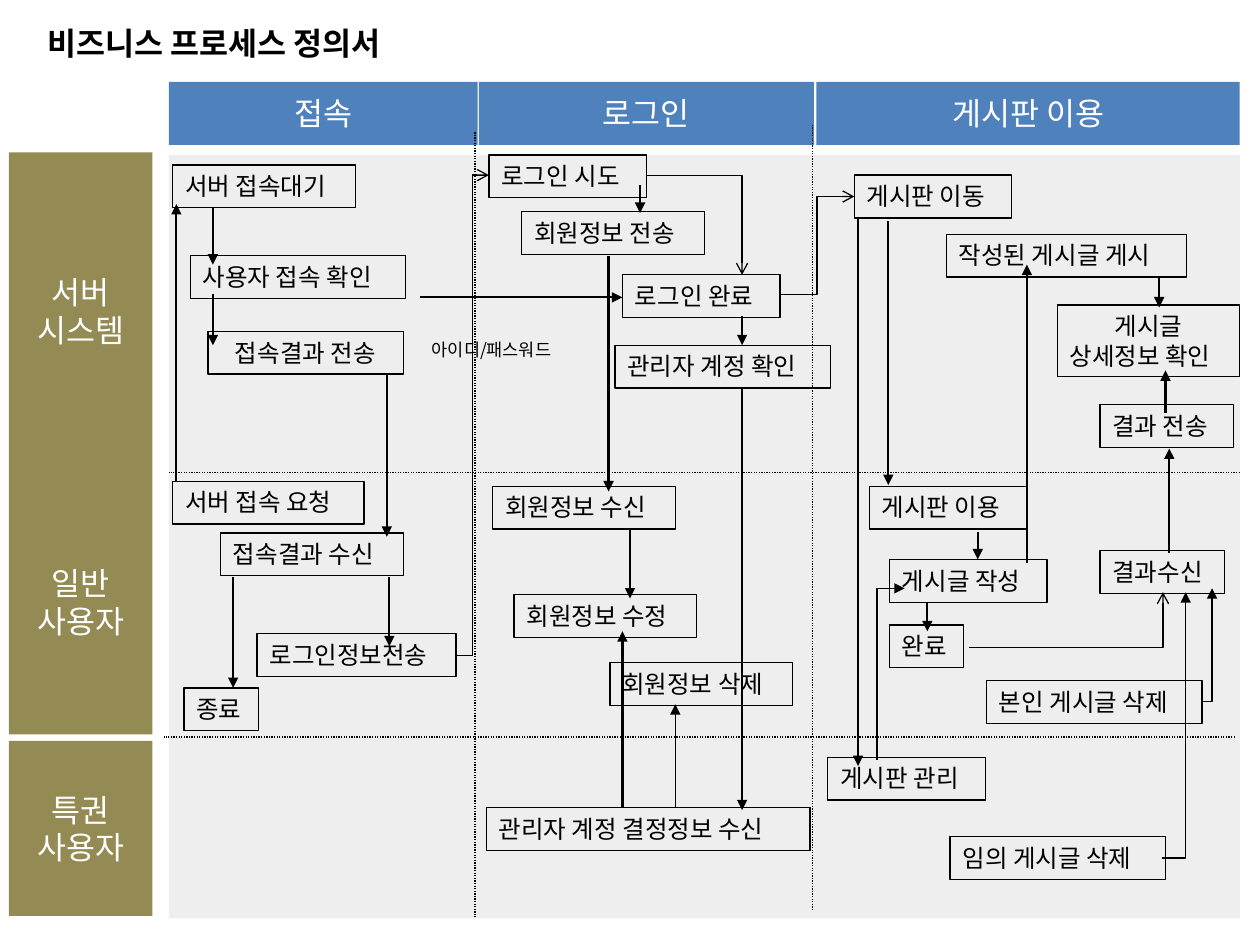
import pptx
import pptx.util
import pptx.dml.color
import pptx.enum.dml
import pptx.enum.shapes
import pptx.enum.text
import pptx.oxml
import pptx.oxml.ns
import lxml.etree

THEME = dict(font="Noto Sans CJK KR", ink="000000", white="FFFFFF",
             head="4F81BD", role="948A54", area="BFBFBF",
             big=18, body=14, small=10, thin=0.75, thick=1.25)

TITLE = "비즈니스 프로세스 정의서"
STAGES = [("접속", 1.34, 2.45), ("로그인", 3.8, 2.66), ("게시판 이용", 6.48, 3.36)]
ROLES = [("서버\n시스템", 1.21, 2.52), ("일반\n사용자", 3.73, 2.1), ("특권\n사용자", 5.88, 1.39)]
DOTS = [(3.77, 1.05, 3.77, 7.28), (6.45, 0.99, 6.45, 7.23),
        (9.84, 3.75, 1.34, 3.75), (9.8, 5.85, 1.3, 5.85)]
STEPS = [
    ("서버 접속대기", 1.37, 1.31, 1.45),
    ("서버 접속 요청", 1.37, 3.82, 1.52),
    ("사용자 접속 확인", 1.51, 2.03, 1.71),
    ("접속결과 전송", 1.65, 2.63, 1.55),
    ("접속결과 수신", 1.75, 4.23, 1.45),
    ("종료", 1.46, 5.46, 0.59),
    ("로그인정보전송", 2.04, 5.03, 1.58),
    ("로그인 시도", 3.88, 1.23, 1.25),
    ("회원정보 전송", 4.14, 1.68, 1.45),
    ("회원정보 수신", 3.91, 3.86, 1.45),
    ("회원정보 수정", 4.08, 4.72, 1.45),
    ("회원정보 삭제", 4.84, 5.26, 1.45),
    ("로그인 완료", 4.94, 2.18, 1.25),
    ("관리자 계정 확인", 4.88, 2.74, 1.71),
    ("관리자 계정 결정정보 수신", 3.86, 6.41, 2.57),
    ("게시판 이동", 6.78, 1.39, 1.25),
    ("게시판 이용", 6.9, 3.86, 1.25),
    ("게시판 관리", 6.57, 6.01, 1.25),
    ("작성된 게시글 게시", 7.51, 1.86, 1.91),
    ("게시글 작성", 7.06, 4.44, 1.25),
    ("게시글\n상세정보 확인", 8.39, 2.42, 1.45),
    ("결과 전송", 8.73, 3.21, 1.06),
    ("완료", 7.06, 4.96, 0.59),
    ("결과수신", 8.73, 4.37, 0.99),
    ("본인 게시글 삭제", 7.83, 5.4, 1.71),
    ("임의 게시글 삭제", 7.54, 6.64, 1.71),
]
CENTRED = {"접속결과 전송", "게시글"}
DOWN = [(1.69, 1.65, 2.1), (1.4, 3.82, 1.62), (1.69, 2.33, 2.74), (3.07, 2.97, 4.26),
        (1.85, 4.58, 5.46), (3.09, 4.58, 5.13), (4.83, 2.03, 3.9), (5, 4.2, 4.75),
        (5.08, 1.47, 1.69), (5.89, 2.51, 2.74), (5.89, 3.08, 6.43), (4.94, 6.41, 5.01),
        (7.05, 1.75, 3.85), (6.81, 1.73, 6.08), (7.76, 4.22, 4.44), (8.15, 4.47, 2.1),
        (9.2, 2.21, 2.44), (9.25, 3.28, 2.94), (7.36, 4.78, 5.01), (9.28, 4.39, 3.56)]
BENDS = [
    ((3.62, 5.2, 3.88, 1.39), "arrow", "bentConnector3", 50000),
    ((5.13, 1.39, 5.89, 2.18), "arrow", "bentConnector2", None),
    ((6.19, 2.34, 6.78, 1.56), "arrow", "bentConnector3", 50000),
    ((7.69, 5.14, 9.23, 4.7), "arrow", "bentConnector2", None),
    ((9.55, 5.57, 9.62, 4.67), "triangle", "bentConnector2", None),
    ((6.96, 6.03, 7.18, 4.67), "triangle", "bentConnector3", 0),
    ((9.22, 6.81, 9.41, 4.7), "triangle", "bentConnector2", None),
]

Inches = pptx.util.Inches
Pt = pptx.util.Pt
ALIGN = pptx.enum.text.PP_ALIGN
LINK = pptx.enum.shapes.MSO_CONNECTOR
qn = pptx.oxml.ns.qn
sub = lxml.etree.SubElement

deck = pptx.Presentation()
deck.slide_width, deck.slide_height = Inches(10), Inches(7.5)
slide = deck.slides.add_slide(deck.slide_layouts[6])
parts = slide.shapes


def tint(name):
    return pptx.dml.color.RGBColor.from_string(THEME[name])


def write(shape, text, size, ink="ink", bold=False, mid=False):
    frame = shape.text_frame
    frame.word_wrap = True
    anchor = pptx.enum.text.MSO_ANCHOR
    frame.vertical_anchor = anchor.MIDDLE if mid else anchor.TOP
    for num, line in enumerate(text.split("\n")):
        para = frame.add_paragraph() if num else frame.paragraphs[0]
        para.alignment = ALIGN.CENTER if mid or line in CENTRED else ALIGN.LEFT
        run = para.add_run()
        run.text = line
        font = run.font
        font.name, font.size, font.bold = THEME["font"], Pt(THEME[size]), bold
        font.color.rgb = tint(ink)
        sub(run._r.get_or_add_rPr(), qn("a:ea"), typeface=THEME["font"])


def block(x, y, w, h, fill, text=None):
    shape = parts.add_shape(pptx.enum.shapes.MSO_SHAPE.RECTANGLE, *map(Inches, (x, y, w, h)))
    shape.shadow.inherit = False
    shape.fill.solid()
    shape.fill.fore_color.rgb = tint(fill)
    shape.line.fill.background()
    if text:
        write(shape, text, "big", "white", mid=True)
    return shape


def label(text, x, y, w, h, size, bold=False):
    box = parts.add_textbox(*map(Inches, (x, y, w, h)))
    write(box, text, size, bold=bold)
    return box


def link(ends, width, head=None, kind=LINK.STRAIGHT):
    wire = parts.add_connector(kind, *map(Inches, ends))
    wire.line.color.rgb = tint("ink")
    wire.line.width = Pt(THEME[width])
    if head:
        sub(wire.line._get_or_add_ln(), qn("a:tailEnd"), type=head)
    sub(wire._element.spPr, qn("a:effectLst"))
    return wire


label(TITLE, 0.28, 0.14, 3.16, 0.4, "big", True)
area = block(1.34, 1.23, 8.5, 6.06, "area")
sub(area._element.spPr.find(".//" + qn("a:srgbClr")), qn("a:alpha"), val="26000")
for text, x, w in STAGES:
    block(x, 0.65, w, 0.5, "head", text)
for text, y, h in ROLES:
    block(0.07, y, 1.14, h, "role", text)
for ends in DOTS:
    link(ends, "thin").line.dash_style = pptx.enum.dml.MSO_LINE.ROUND_DOT

for text, x, y, w in STEPS:
    step = label(text, x, y, w, 0.57 if "\n" in text else 0.34, "body")
    step.line.color.rgb = tint("ink")
    step.line.width = Pt(THEME["thin"])
label("아이디/패스워드", 3.33, 2.64, 1.24, 0.27, "small")

for x, top, end in DOWN:
    link((x, top, x, end), "thick", "triangle")
link((3.33, 2.36, 4.94, 2.36), "thick", "triangle")
link((5.36, 6.41, 5.36, 5.59), "thin", "triangle")
for ends, head, form, bend in BENDS:
    wire = link(ends, "thin", head, LINK.ELBOW)
    geom = wire._element.spPr.find(qn("a:prstGeom"))
    geom.set("prst", form)
    if bend is not None:
        sub(geom.find(qn("a:avLst")), qn("a:gd"), name="adj1", fmla=f"val {bend}")

deck.save("out.pptx")
